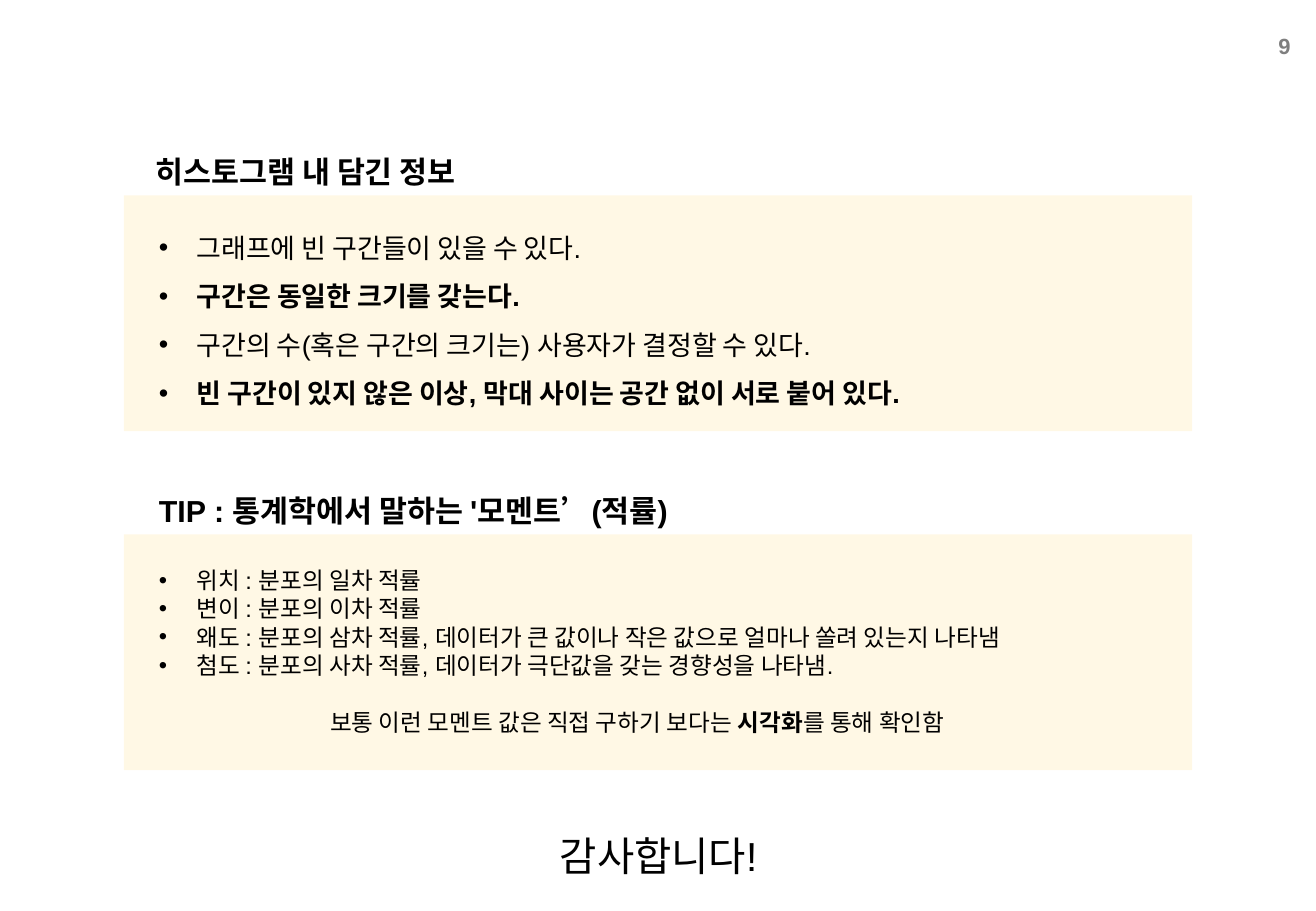
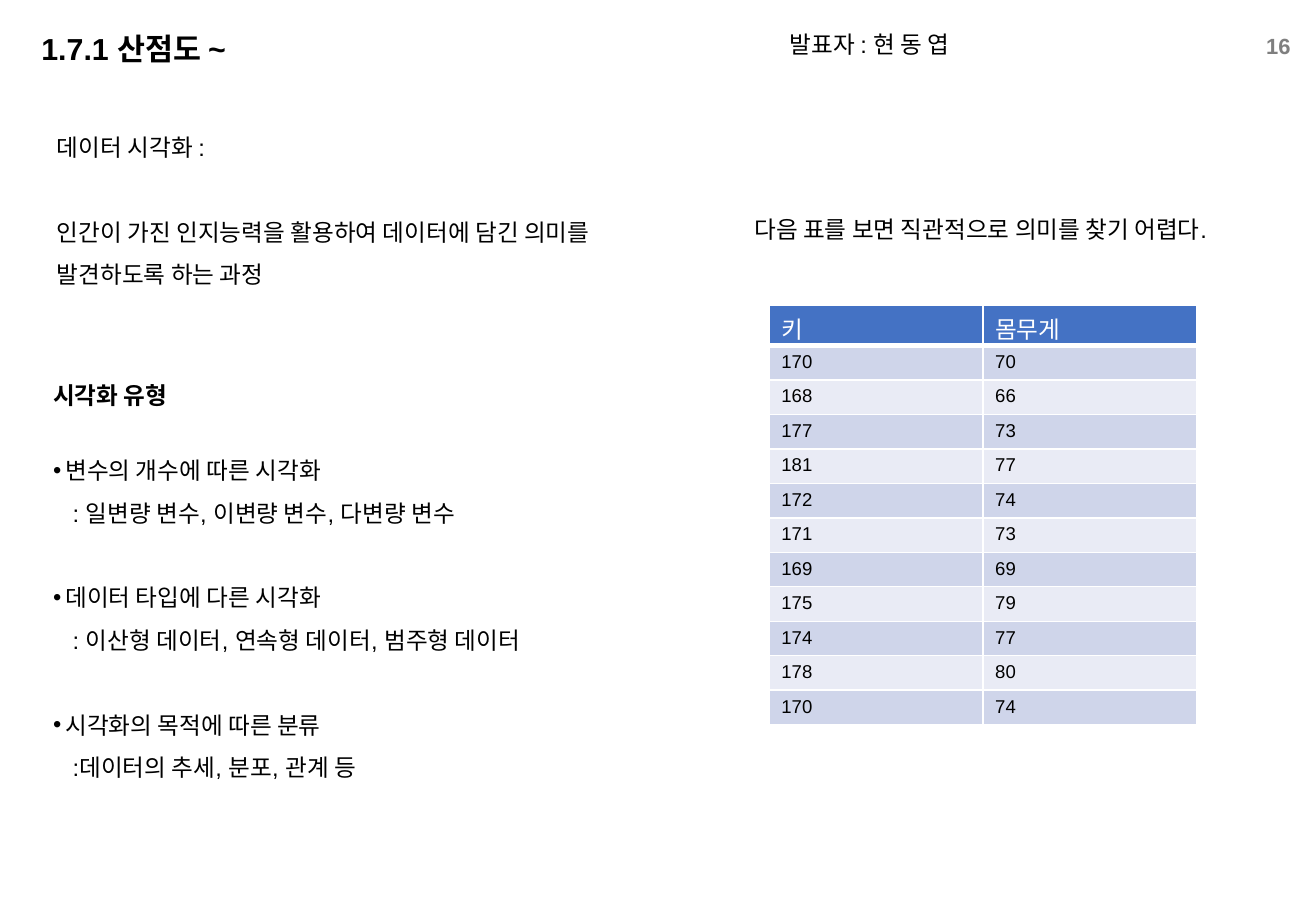
"""Builds two slides: histogram facts and the first page on data visualization."""
from lxml.etree import SubElement
from pptx import Presentation
from pptx.dml.color import RGBColor
from pptx.enum.shapes import MSO_SHAPE
from pptx.enum.text import MSO_ANCHOR as Anchor, MSO_AUTO_SIZE as AutoSize, PP_ALIGN as Align
from pptx.oxml.ns import qn
from pptx.util import Inches, Pt

rgb = RGBColor.from_string
BLACK, WHITE, GREY = "000000", "FFFFFF", "7F7F7F"
AMBER, HEADER_BLUE, ROW_SHADES = "FFC000", "4472C4", ("CFD5EA", "E9EBF5")
BAND_LEFT, BAND_WIDTH, BAND_HEIGHT = 1.02, 8.79, 1.94


def write(frame, text, size=14, bold=False, color=BLACK, align=Align.LEFT,
          spacing=1.0, before=0, indent=0.0, bullet=False):
    """Add one paragraph; text between double asterisks is bold."""
    first = frame.paragraphs[0]
    paragraph = first if not first.runs else frame.add_paragraph()
    paragraph.alignment = align
    paragraph.line_spacing = spacing
    paragraph.space_before = Pt(before)
    for position, part in enumerate(text.split("**")):
        if part:
            run = paragraph.add_run()
            run.text = part
            run.font.name = "Arial"
            run.font.size = Pt(size)
            run.font.bold = bold or position % 2 == 1
            run.font.color.rgb = rgb(color)
    properties = paragraph._p.get_or_add_pPr()
    properties.set("marL", str(Inches(indent)))
    properties.set("indent", str(-Inches(indent) if bullet else 0))
    if bullet:
        SubElement(properties, qn("a:buFont"), typeface="Arial")
        SubElement(properties, qn("a:buChar"), char="•")


def text_area(slide, left, top, width, height):
    """Return the wrapping frame of a new text box."""
    frame = slide.shapes.add_textbox(*map(Inches, (left, top, width, height))).text_frame
    frame.word_wrap = True
    return frame


deck = Presentation()
deck.slide_width, deck.slide_height = Inches(10.83), Inches(7.5)

pages = [
    ("9", "히스토그램 내 담긴 정보", (1.02, 1.21, 2.99, 0.4), Align.CENTER),
    ("16", "1.7.1 산점도 ~", (0.24, 0.2, 5.44, 0.4), Align.LEFT),
]
slides = []
for page_number, heading, place, align in pages:
    slide = deck.slides.add_slide(deck.slide_layouts[5])
    title = slide.shapes.title
    title.left, title.top, title.width, title.height = map(Inches, place)
    title.text_frame.auto_size = AutoSize.NONE
    title.text_frame.vertical_anchor = Anchor.TOP
    write(title.text_frame, heading, size=18, bold=True, align=align)
    corner = text_area(slide, 10.12, 0.22, 0.58, 0.32)
    corner.margin_left = corner.margin_right = Inches(0.08)
    corner.margin_top = corner.margin_bottom = Inches(0.04)
    corner.vertical_anchor = Anchor.MIDDLE
    write(corner, page_number, size=13, bold=True, color=GREY, align=Align.RIGHT)
    slides.append(slide)
histogram, scatter = slides

for band_top in (1.61, 4.4):
    band = histogram.shapes.add_shape(
        MSO_SHAPE.RECTANGLE, *map(Inches, (BAND_LEFT, band_top, BAND_WIDTH, BAND_HEIGHT)))
    band.shadow.inherit = False
    band.line.fill.background()
    band.fill.solid()
    band.fill.fore_color.rgb = rgb(AMBER)
    tint = band._element.spPr.find(".//" + qn("a:srgbClr"))
    SubElement(tint, qn("a:alpha"), val="10000")

facts = text_area(histogram, 1.21, 1.72, 7.65, 1.72)
for fact in (
    "그래프에 빈 구간들이 있을 수 있다.",
    "**구간은 동일한 크기를 갖는다.**",
    "구간의 수(혹은 구간의 크기는) 사용자가 결정할 수 있다.",
    "**빈 구간이 있지 않은 이상, 막대 사이는 공간 없이 서로 붙어 있다.**",
):
    write(facts, fact, size=16, spacing=1.5, indent=0.31, bullet=True)

write(text_area(histogram, 1.21, 4, 5.15, 0.4),
      "TIP : 통계학에서 말하는 '모멘트’(적률)", size=18, bold=True)
moments = text_area(histogram, 1.21, 4.61, 8.07, 1.66)
for moment in (
    "위치 : 분포의 일차 적률",
    "변이 : 분포의 이차 적률",
    "왜도 : 분포의 삼차 적률, 데이터가 큰 값이나 작은 값으로 얼마나 쏠려 있는지 나타냄",
    "첨도 : 분포의 사차 적률, 데이터가 극단값을 갖는 경향성을 나타냄.",
):
    write(moments, moment, indent=0.31, bullet=True)
write(moments, "보통 이런 모멘트 값은 직접 구하기 보다는 **시각화**를 통해 확인함",
      align=Align.CENTER, before=17)
write(text_area(histogram, 2.47, 6.79, 5.9, 1), "감사합니다!", size=24, align=Align.CENTER)

write(text_area(scatter, 6.4, 0.2, 2.08, 0.34), "발표자 : 현 동 엽")
definition = text_area(scatter, 0.37, 0.93, 4.66, 1.82)
write(definition, "데이터 시각화 :", spacing=1.5)
write(definition, "인간이 가진 인지능력을 활용하여 데이터에 담긴 의미를 발견하도록 하는 과정",
      spacing=1.5, before=25)

write(text_area(scatter, 0.34, 3.09, 2.4, 0.34), "시각화 유형", bold=True)
kinds = text_area(scatter, 0.34, 3.59, 4.7, 3.2)
for index, (criterion, examples) in enumerate([
    ("변수의 개수에 따른 시각화", ": 일변량 변수, 이변량 변수, 다변량 변수"),
    ("데이터 타입에 다른 시각화", ": 이산형 데이터, 연속형 데이터, 범주형 데이터"),
    ("시각화의 목적에 따른 분류", ":데이터의 추세, 분포, 관계 등"),
]):
    write(kinds, criterion, spacing=1.5, before=25 if index else 0, indent=0.1, bullet=True)
    write(kinds, examples, spacing=1.5, indent=0.16)

write(text_area(scatter, 6.11, 1.72, 4.36, 0.57),
      "다음 표를 보면 직관적으로 의미를 찾기 어렵다.")
measurements = [
    ("키", "몸무게"), (170, 70), (168, 66), (177, 73), (181, 77), (172, 74),
    (171, 73), (169, 69), (175, 79), (174, 77), (178, 80), (170, 74),
]
table_height, header_height = 3.45, 0.33
table = scatter.shapes.add_table(
    len(measurements), 2, *map(Inches, (6.33, 2.51, 3.52, table_height))).table
body_height = (table_height - header_height) / (len(measurements) - 1)
for row, values in enumerate(measurements):
    is_header = row == 0
    table.rows[row].height = Inches(header_height if is_header else body_height)
    for column, value in enumerate(values):
        cell = table.cell(row, column)
        write(cell.text_frame, str(value), size=14 if is_header else 11,
              color=WHITE if is_header else BLACK)
        cell_properties = cell._tc.get_or_add_tcPr()
        for side in ("lnL", "lnR", "lnT", "lnB"):
            thick = (is_header and side == "lnB") or (row == 1 and side == "lnT")
            border = SubElement(cell_properties, qn("a:" + side), w=str(Pt(3 if thick else 1)))
            SubElement(SubElement(border, qn("a:solidFill")), qn("a:srgbClr"), val=WHITE)
        cell.fill.solid()
        cell.fill.fore_color.rgb = rgb(HEADER_BLUE if is_header else ROW_SHADES[(row - 1) % 2])

deck.save("out.pptx")
